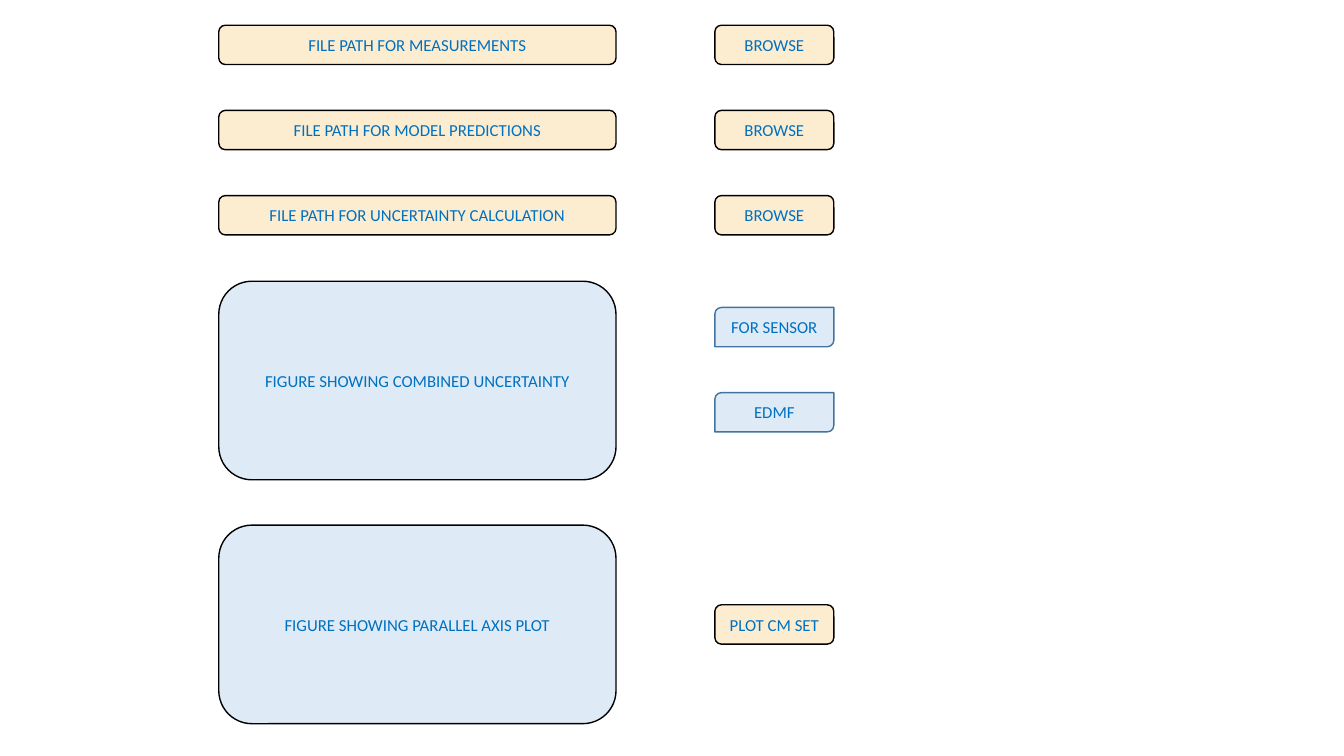
from pptx import Presentation
from pptx.dml.color import RGBColor
from pptx.enum.shapes import MSO_SHAPE
from pptx.enum.text import MSO_ANCHOR, PP_ALIGN
from pptx.util import Inches, Pt

ROUNDED = MSO_SHAPE.ROUNDED_RECTANGLE
DIAGONAL = MSO_SHAPE.ROUND_2_DIAG_RECTANGLE
MIDDLE = MSO_ANCHOR.MIDDLE
CENTER = PP_ALIGN.CENTER

CREAM, PALE_BLUE = "FCEDD1", "DEEBF7"
BLACK, STEEL_BLUE, TEXT_BLUE = "000000", "43739E", "0070C0"

FIELD_LEFT, FIELD_WIDTH = 2.17, 3.94
BUTTON_LEFT, BUTTON_WIDTH = 7.09, 1.18
ROW_HEIGHT, ROW_PITCH = 0.39, 0.845
FIGURE_HEIGHT = 1.97
FILE_PATHS = [
    "FILE PATH FOR MEASUREMENTS",
    "FILE PATH FOR MODEL PREDICTIONS",
    "FILE PATH FOR UNCERTAINTY CALCULATION",
]


def color(hex_string):
    return RGBColor.from_string(hex_string)


def add_box(slide, text, left, top, width, height, fill=CREAM, line=BLACK, kind=ROUNDED):
    shape = slide.shapes.add_shape(
        kind, Inches(left), Inches(top), Inches(width), Inches(height))
    shape.shadow.inherit = False
    shape.fill.solid()
    shape.fill.fore_color.rgb = color(fill)
    shape.line.color.rgb = color(line)
    shape.line.width = Pt(1)
    text_frame = shape.text_frame
    text_frame.text = text
    text_frame.word_wrap = True
    text_frame.vertical_anchor = MIDDLE
    paragraph = text_frame.paragraphs[0]
    paragraph.alignment = CENTER
    font = paragraph.runs[0].font
    font.name = "Calibri"
    font.size = Pt(12)
    font.color.rgb = color(TEXT_BLUE)


def add_button(slide, text, top, **style):
    add_box(slide, text, BUTTON_LEFT, top, BUTTON_WIDTH, ROW_HEIGHT, **style)


def add_figure(slide, text, top):
    add_box(slide, text, FIELD_LEFT, top, FIELD_WIDTH, FIGURE_HEIGHT, fill=PALE_BLUE)


def add_file_rows(slide, top):
    for row, label in enumerate(FILE_PATHS):
        row_top = top + row * ROW_PITCH
        add_box(slide, label, FIELD_LEFT, row_top, FIELD_WIDTH, ROW_HEIGHT)
        add_button(slide, "BROWSE", row_top)


def add_uncertainty_panel(slide, top):
    add_figure(slide, "FIGURE SHOWING COMBINED UNCERTAINTY", top)
    for row, label in enumerate(["FOR SENSOR", "EDMF"]):
        add_button(slide, label, top + 0.26 + row * ROW_PITCH,
                   fill=PALE_BLUE, line=STEEL_BLUE, kind=DIAGONAL)


def add_plot_panel(slide, top):
    add_figure(slide, "FIGURE SHOWING PARALLEL AXIS PLOT", top)
    add_button(slide, "PLOT CM SET", top + (FIGURE_HEIGHT - ROW_HEIGHT) / 2)


def main():
    presentation = Presentation()
    presentation.slide_width = Inches(13.33)
    presentation.slide_height = Inches(7.5)
    slide = presentation.slides.add_slide(presentation.slide_layouts[6])
    add_file_rows(slide, 0.25)
    add_uncertainty_panel(slide, 2.79)
    add_plot_panel(slide, 5.21)
    presentation.save("out.pptx")


if __name__ == "__main__":
    main()
